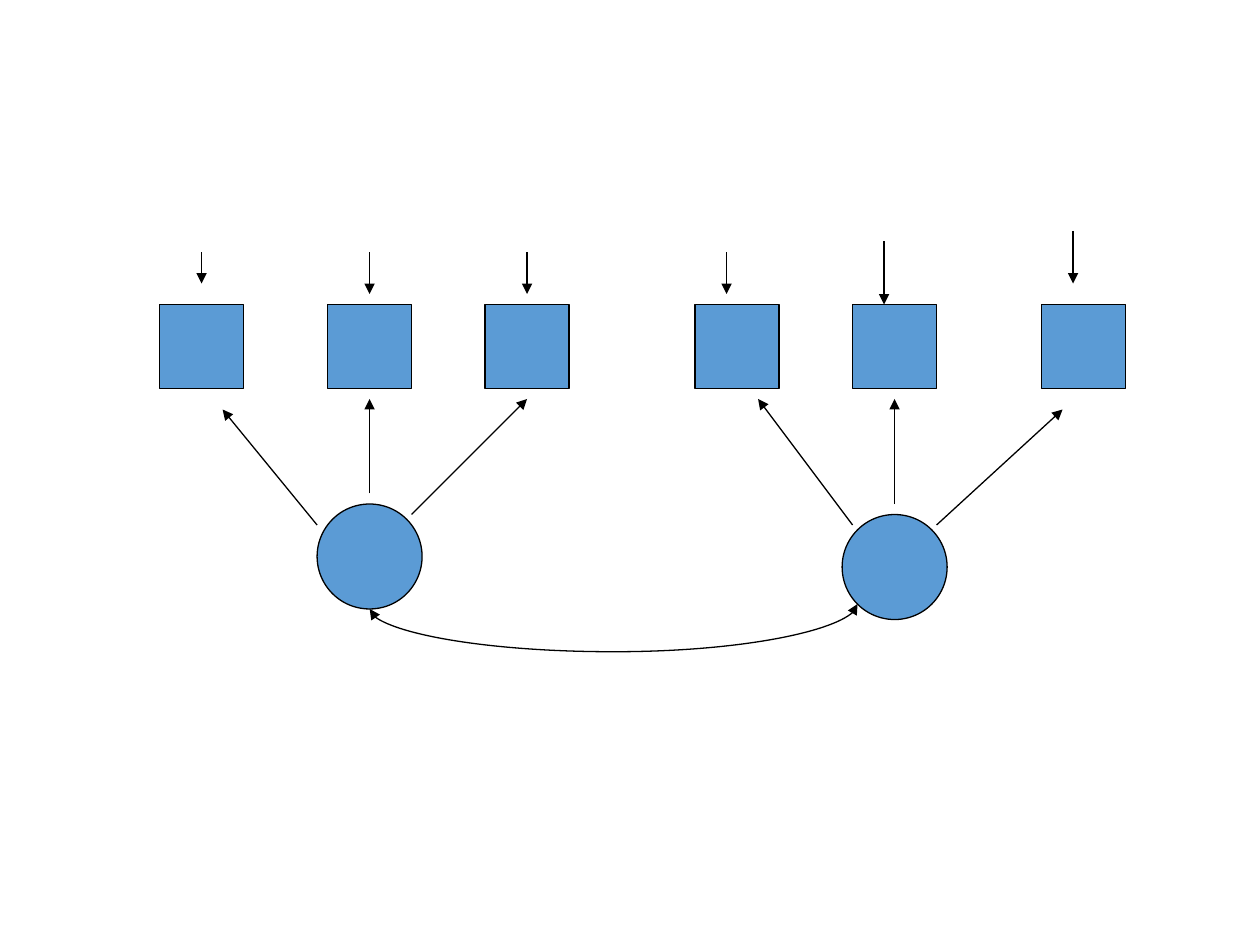
from lxml import etree
from pptx import Presentation
from pptx.dml.color import RGBColor
from pptx.enum import shapes
from pptx.oxml.ns import qn
from pptx.util import Pt

COLORS = {"node": "5B9BD5", "outline": "000000"}
LINE_WIDTH = 0.75
INDICATOR_SIZE, INDICATOR_TOP = 48, 174
FACTOR_SIZE = 60

indicator_lefts = [91.2, 187.2, 277.2, 397.2, 487.2, 595.2]
factors = [(181.2, 288), (481.2, 294)]
loadings = [
    ((181.2, 300), (127.2, 234)),
    ((211.2, 282), (211.2, 228)),
    ((235.2, 294), (301.2, 228)),
    ((487.2, 300), (433.2, 228)),
    ((511.2, 288), (511.2, 228)),
    ((535.2, 300), (607.2, 234)),
]
errors = [
    (613.2, 132, 162),
    (505.2, 138, 174),
    (415.2, 144, 168),
    (301.2, 144, 168),
    (211.2, 144, 168),
    (115.2, 144, 162),
]
covariance_start, covariance_end = (211.2, 348), (490, 345.2)
covariance_depth = 24.4

prs = Presentation()
prs.slide_width, prs.slide_height = Pt(720), Pt(540)
slide = prs.slides.add_slide(prs.slide_layouts[6])


def color(name):
    return RGBColor.from_string(COLORS[name])


def add_node(kind, left, top, size):
    node = slide.shapes.add_shape(kind, Pt(left), Pt(top), Pt(size), Pt(size))
    node.shadow.inherit = False
    node.fill.solid()
    node.fill.fore_color.rgb = color("node")
    node.line.color.rgb = color("outline")
    node.line.width = Pt(LINE_WIDTH)


def add_arrow(start, end, kind=shapes.MSO_CONNECTOR.STRAIGHT, ends=("tailEnd",)):
    arrow = slide.shapes.add_connector(kind, *(Pt(v) for v in (*start, *end)))
    arrow.line.color.rgb = color("outline")
    arrow.line.width = Pt(LINE_WIDTH)
    properties = arrow.element.spPr
    for tag in ends:
        etree.SubElement(properties.find(qn("a:ln")), qn(f"a:{tag}"), type="triangle")
    etree.SubElement(properties, qn("a:effectLst"))
    return properties


def add_covariance(start, end, depth):
    (x1, y1), (x2, y2) = start, end
    center_x, center_y = (x1 + x2) / 2, (y1 + y2) / 2
    half_width, half_height = (y1 - y2) / 2, (x2 - x1) / 2
    curve = add_arrow(
        (center_x + half_width, center_y + half_height),
        (center_x - half_width, center_y - half_height),
        shapes.MSO_CONNECTOR.CURVE,
        ("headEnd", "tailEnd"),
    )
    curve.find(qn("a:xfrm")).set("rot", str(90 * 60000))
    geometry = curve.find(qn("a:prstGeom"))
    guides = geometry.find(qn("a:avLst"))
    if guides is None:
        guides = etree.SubElement(geometry, qn("a:avLst"))
    bend = round(-depth / (y1 - y2) * 100000)
    etree.SubElement(guides, qn("a:gd"), name="adj1", fmla=f"val {bend}")


for left in indicator_lefts:
    add_node(shapes.MSO_SHAPE.RECTANGLE, left, INDICATOR_TOP, INDICATOR_SIZE)
for left, top in factors:
    add_node(shapes.MSO_SHAPE.OVAL, left, top, FACTOR_SIZE)
for start, end in loadings:
    add_arrow(start, end)
for x, top, bottom in errors:
    add_arrow((x, top), (x, bottom))
add_covariance(covariance_start, covariance_end, covariance_depth)

prs.save("out.pptx")
